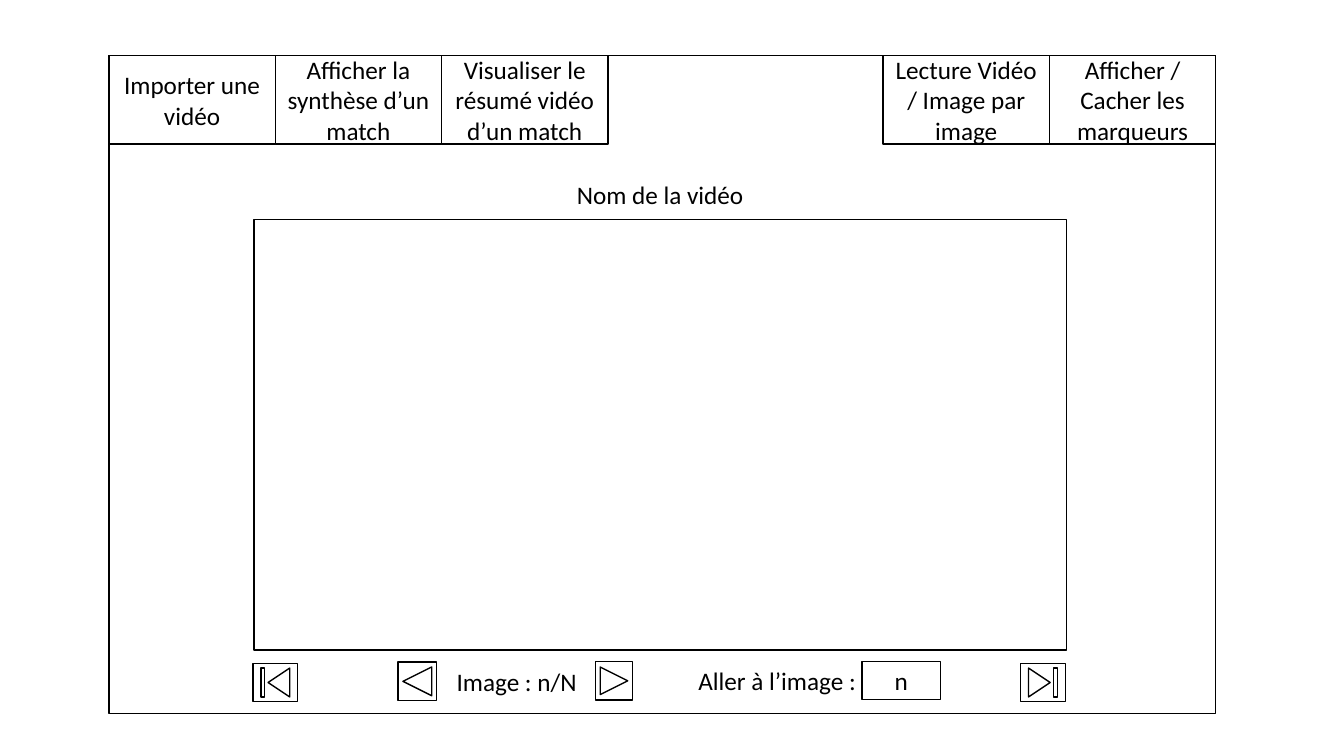
from dataclasses import dataclass

from pptx import Presentation
from pptx.dml.color import RGBColor
from pptx.enum.shapes import MSO_SHAPE as Preset
from pptx.enum.text import MSO_ANCHOR as Anchor, PP_ALIGN as Align
from pptx.shapes.autoshape import Shape
from pptx.util import Pt

COLORS = {"ink": "000000"}
FONT = "Calibri"


@dataclass(frozen=True)
class Box:
    """Position and size in points."""
    left: float
    top: float
    width: float
    height: float

    def lengths(self) -> tuple[Pt, Pt, Pt, Pt]:
        """Return the four values as lengths."""
        return Pt(self.left), Pt(self.top), Pt(self.width), Pt(self.height)


@dataclass(frozen=True)
class Control:
    """An outlined preset shape, with an optional caption."""
    box: Box
    preset: Preset = Preset.RECTANGLE
    caption: str = ""


@dataclass(frozen=True)
class Label:
    """Text without an outline."""
    box: Box
    caption: str


def write(shape: Shape, text: str, *, size: float = 18, color: str = "ink",
          align: Align = Align.CENTER, anchor: Anchor = Anchor.MIDDLE) -> None:
    """Put formatted, wrapped text in a shape."""
    frame = shape.text_frame
    frame.word_wrap = True
    frame.vertical_anchor = anchor
    paragraph = frame.paragraphs[0]
    paragraph.alignment = align
    run = paragraph.add_run()
    run.text = text
    run.font.name = FONT
    run.font.size = Pt(size)
    run.font.color.rgb = RGBColor.from_string(COLORS[color])


def draw_control(control: Control) -> None:
    """Draw an unfilled shape with a thin outline."""
    shape = slide.shapes.add_shape(control.preset, *control.box.lengths())
    shape.shadow.inherit = False
    shape.fill.background()
    shape.line.color.rgb = RGBColor.from_string(COLORS["ink"])
    shape.line.width = Pt(1)
    if control.caption:
        write(shape, control.caption)


def draw_label(label: Label) -> None:
    """Draw a text box."""
    write(slide.shapes.add_textbox(*label.box.lengths()), label.caption)


def menu(left: float, captions: list[str]) -> list[Control]:
    """Line up menu buttons from left to right along the window's top."""
    return [Control(Box(left + i * MENU_WIDTH, window.top, MENU_WIDTH, 63.4),
                    caption=caption)
            for i, caption in enumerate(captions)]


MENU_WIDTH = 118.8
window = Box(77.8, 39.6, 790.6, 470.2)
video = Box(181.4, 157, 580.3, 307.4)

file_actions = ["Importer une vidéo", "Afficher la synthèse d’un match",
                "Visualiser le résumé vidéo d’un match"]
display_actions = ["Lecture Vidéo / Image par image",
                   "Afficher / Cacher les marqueurs"]
display_left = window.left + window.width - len(display_actions) * MENU_WIDTH

controls = [
    Control(window),
    *menu(window.left, file_actions),
    *menu(display_left, display_actions),
    Control(video),
    Control(Box(180.7, 473.8, 31.9, 27.4), Preset.ACTION_BUTTON_BEGINNING),
    Control(Box(284.4, 473, 27.4, 27.4), Preset.ACTION_BUTTON_BACK_OR_PREVIOUS),
    Control(Box(425.5, 472.6, 26.2, 27.4), Preset.ACTION_BUTTON_FORWARD_OR_NEXT),
    Control(Box(728.8, 473.8, 32.4, 27.4), Preset.ACTION_BUTTON_END),
    Control(Box(615.6, 472.3, 56.2, 27.4), caption="n"),
]
labels = [
    Label(Box(video.left, 120.2, video.width, 37.4), "Nom de la vidéo"),
    Label(Box(293.8, 468, 150.5, 37.4), "Image : n/N"),
    Label(Box(490.3, 477.4, 129.6, 17.3), "Aller à l’image :"),
]

presentation = Presentation()
presentation.slide_width, presentation.slide_height = Pt(960), Pt(540)
slide = presentation.slides.add_slide(presentation.slide_layouts[6])
for item in controls:
    draw_control(item)
for item in labels:
    draw_label(item)
presentation.save("out.pptx")
